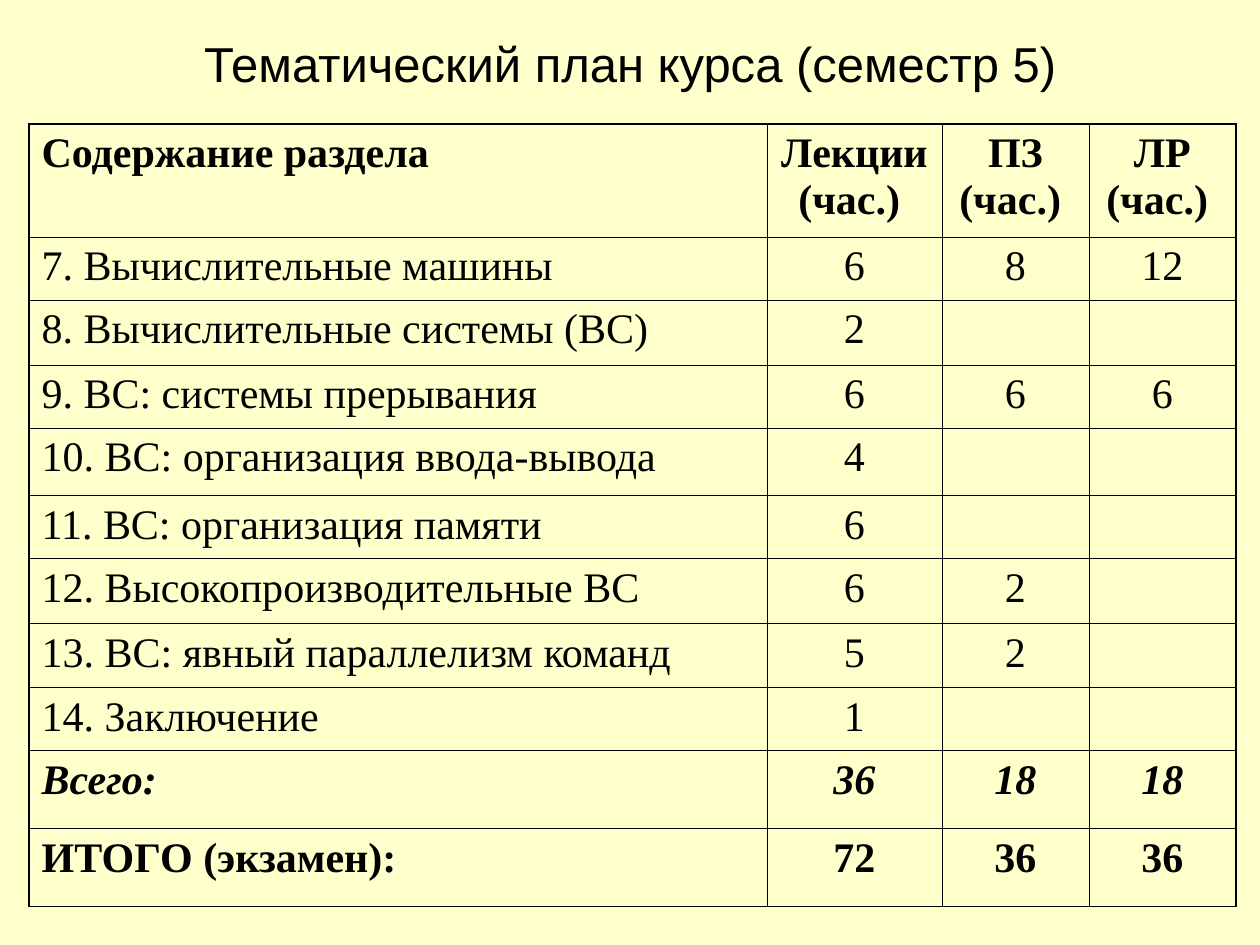
from lxml.etree import SubElement
from pptx import Presentation
from pptx.dml.color import RGBColor
from pptx.enum.text import MSO_ANCHOR, PP_ALIGN
from pptx.oxml.ns import qn
from pptx.util import Pt

PX = 914400 // 126  # EMU in one px
COLORS = {"background": "FFFFCC", "text": "000000", "border": "000000"}
OUTER_LINE, INNER_LINE = Pt(1.08), Pt(0.45)

TITLE_BOX = (63, 14, 1134, 98)
TABLE_BOX = (29, 124, 1207, 783)
COLUMN_WIDTHS = (738, 175, 147, 147)
ROW_HEIGHTS = (113, 63, 65, 63, 68, 63, 65, 64, 63, 78, 78)

TITLE_FORMAT = {"name": "Arial", "size": Pt(28), "bold": False}
BODY_FORMAT = {"name": "Times New Roman", "size": Pt(24), "bold": False, "italic": False}
BOLD_FORMAT = BODY_FORMAT | {"bold": True}
SUBTOTAL_FORMAT = BOLD_FORMAT | {"italic": True}

HEADER = ("Содержание раздела", "Лекции (час.) ", "ПЗ (час.) ", "ЛР (час.) ")
SECTIONS = (
    ("7. Вычислительные машины", "6", "8", "12"),
    ("8. Вычислительные системы (ВС)", "2", "", ""),
    ("9. ВС: системы прерывания", "6", "6", "6"),
    ("10. ВС: организация ввода-вывода", "4", "", ""),
    ("11. ВС: организация памяти", "6", "", ""),
    ("12. Высокопроизводительные ВС", "6", "2", ""),
    ("13. ВС: явный параллелизм команд", "5", "2", ""),
    ("14. Заключение", "1", "", ""),
)
SUBTOTAL = ("Всего:", "36", "18", "18")
TOTAL = ("ИТОГО (экзамен):", "72", "36", "36")


def emu(box):
    return [value * PX for value in box]


def write_text(paragraph, text, text_format, alignment):
    paragraph.alignment = alignment
    if not text:
        return
    run = paragraph.add_run()
    run.text = text
    for name, value in text_format.items():
        setattr(run.font, name, value)
    run.font.color.rgb = RGBColor.from_string(COLORS["text"])


def add_title(slide, box):
    title = slide.shapes.title
    title.left, title.top, title.width, title.height = emu(box)
    title.text_frame.vertical_anchor = MSO_ANCHOR.MIDDLE
    write_text(title.text_frame.paragraphs[0], "Тематический план курса (семестр 5)",
               TITLE_FORMAT, PP_ALIGN.CENTER)


def set_borders(cell, outer_sides):
    properties = cell._tc.get_or_add_tcPr()
    for side in "LRTB":
        width = OUTER_LINE if side in outer_sides else INNER_LINE
        line = SubElement(properties, qn(f"a:ln{side}"), w=str(int(width)))
        fill = SubElement(line, qn("a:solidFill"))
        SubElement(fill, qn("a:srgbClr"), val=COLORS["border"])


def add_plan_table(slide, box):
    rows = [(HEADER, BOLD_FORMAT), *((section, BODY_FORMAT) for section in SECTIONS),
            (SUBTOTAL, SUBTOTAL_FORMAT), (TOTAL, BOLD_FORMAT)]
    last_row, last_column = len(rows) - 1, len(HEADER) - 1
    table = slide.shapes.add_table(len(rows), len(HEADER), *emu(box)).table
    table.first_row = table.horz_banding = False
    for column, width in zip(table.columns, COLUMN_WIDTHS):
        column.width = width * PX
    for row, height in zip(table.rows, ROW_HEIGHTS):
        row.height = height * PX

    for row_index, (texts, text_format) in enumerate(rows):
        for column_index, text in enumerate(texts):
            cell = table.cell(row_index, column_index)
            outer = {"L": column_index == 0, "R": column_index == last_column,
                     "T": row_index == 0, "B": row_index == last_row}
            # Borders come before the fill in the cell properties
            set_borders(cell, [side for side, is_outer in outer.items() if is_outer])
            cell.fill.background()
            alignment = PP_ALIGN.CENTER if column_index else PP_ALIGN.LEFT
            write_text(cell.text_frame.paragraphs[0], text, text_format, alignment)


def main():
    presentation = Presentation()
    presentation.slide_width, presentation.slide_height = emu((1260, 945))
    slide = presentation.slides.add_slide(presentation.slide_layouts[5])
    slide.background.fill.solid()
    slide.background.fill.fore_color.rgb = RGBColor.from_string(COLORS["background"])
    add_title(slide, TITLE_BOX)
    add_plan_table(slide, TABLE_BOX)
    presentation.save("out.pptx")


if __name__ == "__main__":
    main()
